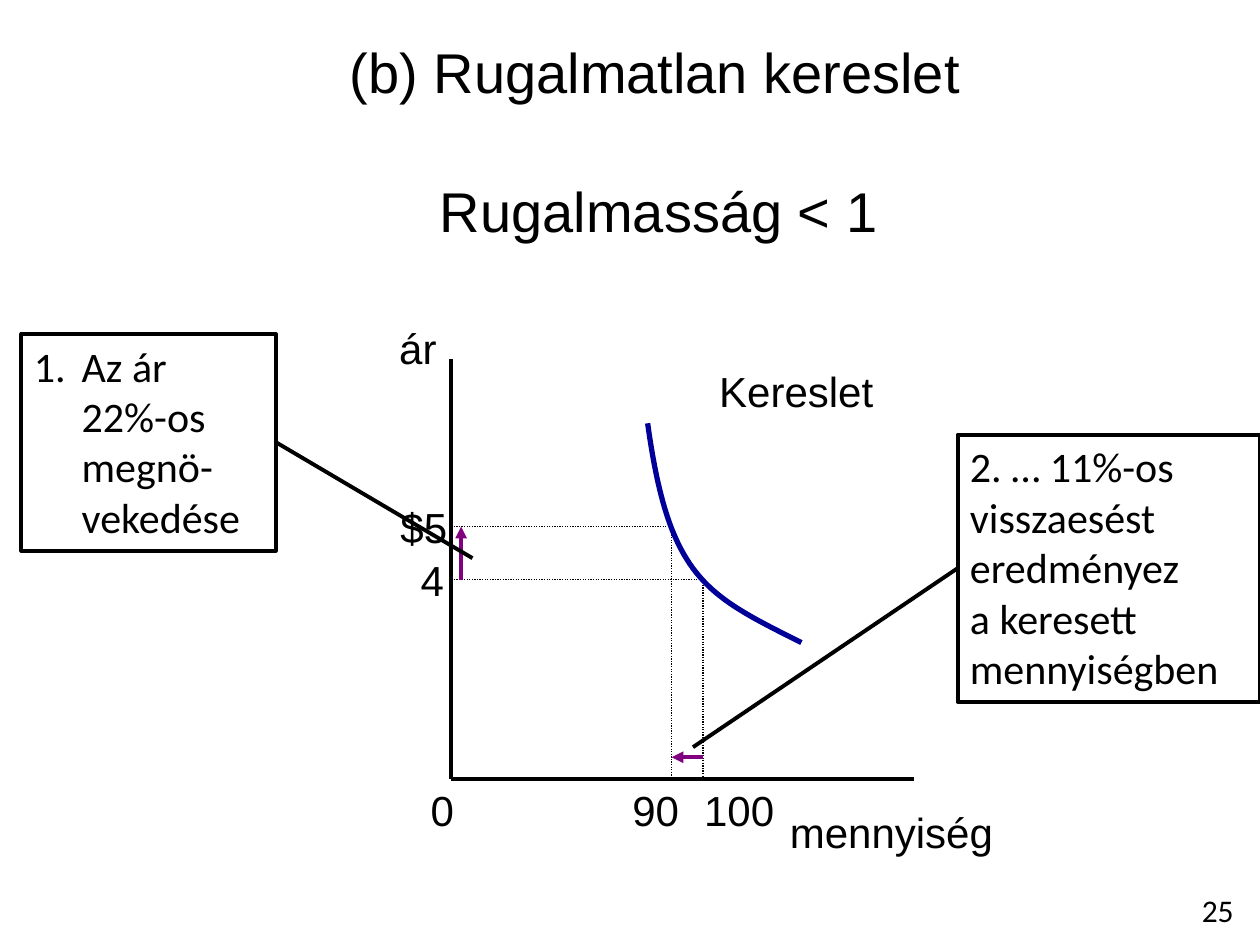
"""Builds the slide on inelastic demand with its price and quantity diagram."""
from dataclasses import dataclass

from lxml import etree
from pptx import Presentation, util as u
from pptx.dml.color import RGBColor
from pptx.enum import dml, shapes, text
from pptx.oxml.ns import qn


@dataclass(frozen=True)
class Theme:
    """Colours, fonts and sizes of the slide."""
    ink: str = "000000"
    curve: str = "000099"
    change: str = "800080"
    label_font: str = "Arial"
    note_font: str = "Calibri"
    heading: int = 32
    body: int = 24
    small: int = 18
    rule: float = 2.25
    guide: float = 0.75
    bold_rule: float = 3


THEME = Theme()
COLUMNS, ROWS = 100, 75
LEFT, RIGHT = text.PP_ALIGN.LEFT, text.PP_ALIGN.RIGHT
CENTER = text.PP_ALIGN.CENTER


def write(shape, words, size=THEME.body, font=THEME.label_font,
          align=LEFT, wrap=False, numbered=False):
    """Put formatted text into a shape."""
    frame = shape.text_frame
    frame.word_wrap = wrap
    frame.vertical_anchor = text.MSO_ANCHOR.TOP
    frame.auto_size = text.MSO_AUTO_SIZE.NONE if wrap else text.MSO_AUTO_SIZE.SHAPE_TO_FIT_TEXT
    paragraph = frame.paragraphs[0]
    paragraph.text = words.replace("\n", "\v")
    paragraph.alignment = align
    for run in paragraph.runs:
        run.font.size = u.Pt(size)
        run.font.name = font
        run.font.color.rgb = RGBColor.from_string(THEME.ink)
    if numbered:
        properties = paragraph._p.get_or_add_pPr()
        indent = u.Inches(0.38)
        properties.set("marL", str(indent))
        properties.set("indent", str(-indent))
        etree.SubElement(properties, qn("a:buFont"), typeface="+mj-lt")
        etree.SubElement(properties, qn("a:buAutoNum"), type="arabicPeriod")


class Board:
    """Holds the theme and the current slide, measured in columns and rows."""

    def __init__(self, presentation, theme):
        """Add a title-only slide."""
        self.theme = theme
        self.column = presentation.slide_width / COLUMNS
        self.row = presentation.slide_height / ROWS
        self.slide = presentation.slides.add_slide(presentation.slide_layouts[5])

    def place(self, x, y):
        """Turn a grid position into lengths."""
        return u.Emu(round(x * self.column)), u.Emu(round(y * self.row))

    def stroke(self, shape, color, width):
        """Set the outline of a shape."""
        shape.line.color.rgb = RGBColor.from_string(color)
        shape.line.width = u.Pt(width)

    def title(self, words, x, y, width, height):
        """Move and fill the title placeholder."""
        shape = self.slide.shapes.title
        shape.left, shape.top = self.place(x, y)
        shape.width, shape.height = self.place(width, height)
        write(shape, words, size=self.theme.heading, align=CENTER)

    def label(self, words, x, y, width, height=5, **style):
        """Add a text box."""
        shape = self.slide.shapes.add_textbox(*self.place(x, y), *self.place(width, height))
        write(shape, words, **style)

    def note(self, words, x, y, width, height, **style):
        """Add an outlined box of text."""
        shape = self.slide.shapes.add_shape(
            shapes.MSO_SHAPE.RECTANGLE, *self.place(x, y), *self.place(width, height))
        shape.shadow.inherit = False
        shape.fill.background()
        self.stroke(shape, self.theme.ink, self.theme.rule)
        write(shape, words, font=self.theme.note_font, **style)

    def line(self, start, end, color=THEME.ink, width=THEME.rule, dotted=False, arrow=False):
        """Add a straight line, dotted or with an arrowhead if wanted."""
        connector = self.slide.shapes.add_connector(
            shapes.MSO_CONNECTOR.STRAIGHT, *self.place(*start), *self.place(*end))
        self.stroke(connector, color, width)
        if dotted:
            connector.line.dash_style = dml.MSO_LINE.ROUND_DOT
        if arrow:
            etree.SubElement(connector.line._get_or_add_ln(), qn("a:tailEnd"), type="triangle")
        etree.SubElement(connector._element.spPr, qn("a:effectLst"))

    def guide(self, start, end):
        """Add a thin dotted line."""
        self.line(start, end, width=self.theme.guide, dotted=True)

    def change(self, start, end):
        """Add an arrow that marks a change."""
        self.line(start, end, color=self.theme.change, arrow=True)

    def curve(self, controls, steps=40):
        """Add a cubic curve through its four control points."""
        points = []
        for step in range(steps + 1):
            t = step / steps
            weights = ((1 - t) ** 3, 3 * t * (1 - t) ** 2, 3 * t ** 2 * (1 - t), t ** 3)
            points.append(self.place(*(
                sum(weight * control[axis] for weight, control in zip(weights, controls))
                for axis in (0, 1))))
        builder = self.slide.shapes.build_freeform(*points[0])
        builder.add_line_segments(points[1:], close=False)
        shape = builder.convert_to_shape()
        shape.shadow.inherit = False
        shape.fill.background()
        self.stroke(shape, self.theme.curve, self.theme.bold_rule)


def main():
    """Build and save the slide."""
    presentation = Presentation()
    presentation.slide_width, presentation.slide_height = u.Inches(10), u.Inches(7.5)
    board = Board(presentation, THEME)
    board.title("(b) Rugalmatlan kereslet", 26.6, 2.5, 50.8, 6.4)
    board.label("25", 93.3, 70.2, 6.7, 4, size=THEME.small,
                font=THEME.note_font, align=CENTER, wrap=True)
    board.label("Rugalmasság < 1", 33.8, 13.5, 37, 6.4, size=THEME.heading, align=CENTER)

    axis_x, axis_y = 35.8, 61.8
    board.line((axis_x, 28.5), (axis_x, axis_y))
    board.line((axis_x, axis_y), (72.5, axis_y))
    board.label("ár", 30.7, 25.1, 5.9)
    board.label("mennyiség", 61.7, 63.5, 19.3)
    board.label("0", 33.2, axis_y, 3.9)

    old, new = (55.8, 46), (53.3, 41.8)
    for x, y in (new, old):
        board.guide((axis_x, y), (x, y))
        board.guide((x, y), (x, axis_y))
    board.label("$5", 30.8, 39.3, 5.8)
    board.label("4", 32.4, 43.5, 3.9)
    board.label("90", 49.2, axis_y, 5.8)
    board.label("100", 54.9, axis_y, 7.6)
    board.change((36.6, old[1]), (36.6, new[1]))

    board.note("Az ár\n22%-os\nmegnö-\nvekedése", 1.7, 26.5, 20.2, 17.2, numbered=True)
    board.line((37.5, 44.3), (21.9, 35.1))
    board.note("2. … 11%-os\nvisszaesést\neredményez\na keresett\nmennyiségben",
               76, 34.5, 24, 21.2)
    board.line((55, 59.3), (76, 45.1))

    board.label("Kereslet", 56.1, 28.5, 14.4)
    board.curve(((51.4, 33.6), (53.1, 45.9), (56, 47.2), (63.6, 51)))
    board.change((old[0], 60.1), (new[0], 60.1))
    presentation.save("out.pptx")


if __name__ == "__main__":
    main()
